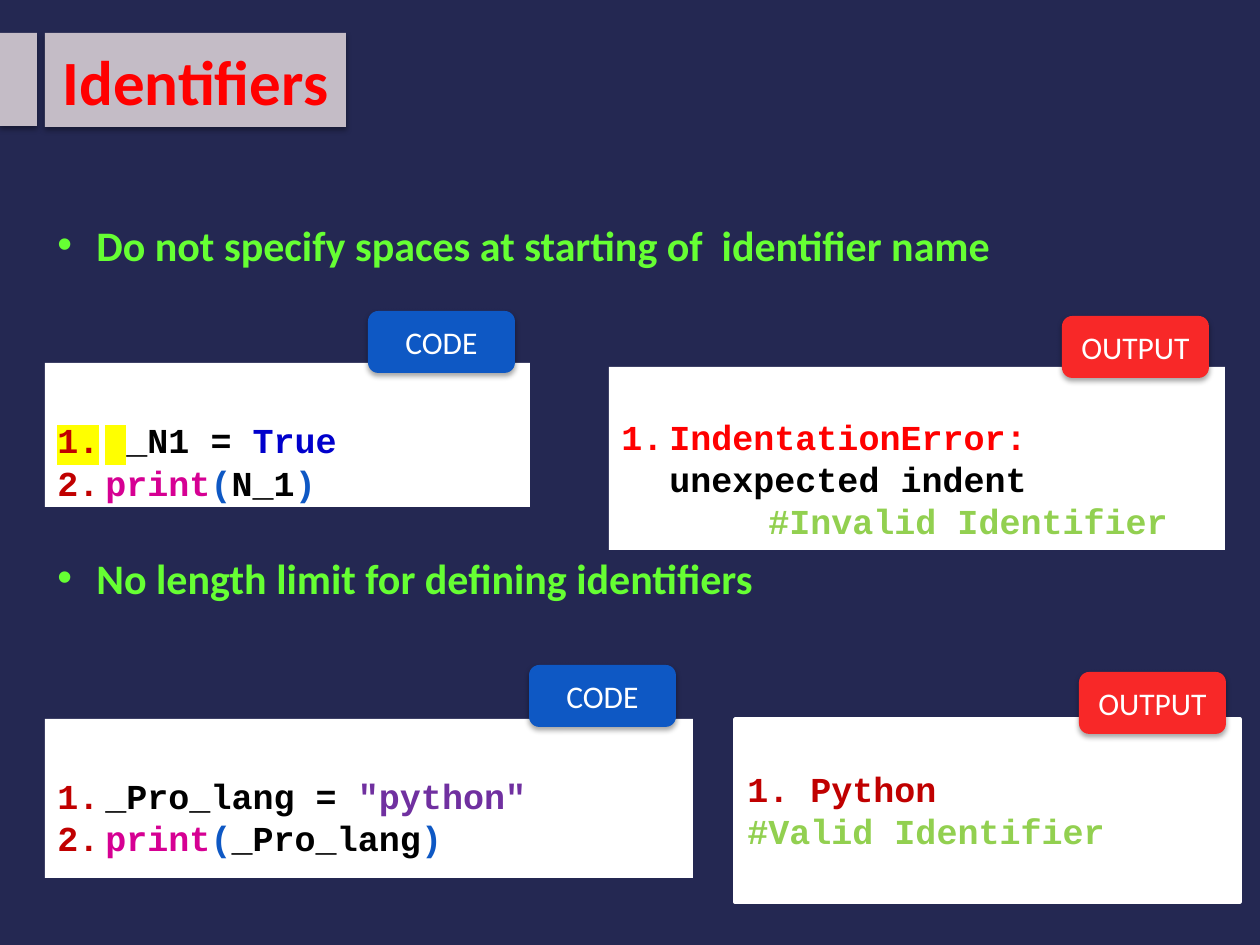
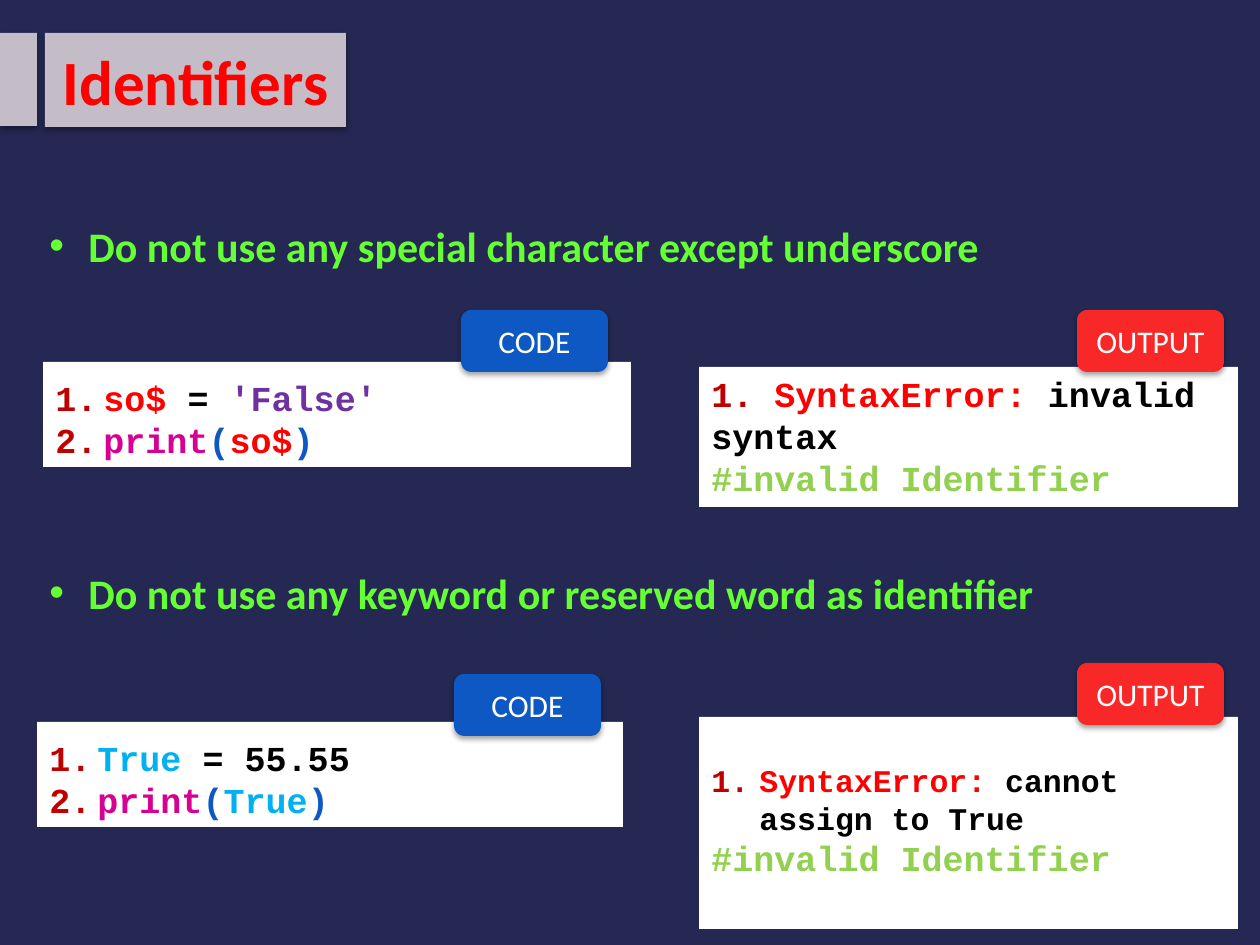
import pptx
import pptx.util
import pptx.dml.color
import pptx.enum.shapes
import pptx.enum.text
from lxml import etree
from pptx.oxml.ns import qn

COLORS = dict(
    navy="242852", band="C4BCC6", red="FF0000", white="FFFFFF", black="000000",
    code="0E58C4", output="F82828", number="C00000", call="D60093", string="7030A0",
    keyword="0000CC", sky="00B0F0", comment="92D050", rule="66FF33", yellow="FFFF00",
)
MONO, SANS = "Courier New", "Calibri"
PX = 914400 // 126
HANG, WIDE_HANG = 48, 63
TAB_W, TAB_H = 147, 62
INSET = 6
BLANK_LINE = 42


def call(name, color):
    return [("print", "call"), ("(", "code"), (name, color), (")", "code")]


SLIDES = [
    dict(
        title="Identifiers",
        rules=[
            ((45, 213, 979, 63), "Do not specify spaces at starting of  identifier name"),
            ((45, 546, 728, 63), "No length limit for defining identifiers"),
        ],
        panels=[
            dict(kind="code", box=(45, 363, 485, 144), tab=(368, 311), lead=BLANK_LINE, lines=[
                ("number", HANG, 20, [(" ", "black", "yellow"), ("_N1 = ", "black"),
                                      ("True", "keyword")]),
                ("number", HANG, 20, call("N_1", "black")),
            ]),
            dict(kind="output", box=(609, 367, 616, 183), tab=(1062, 316), lead=BLANK_LINE, lines=[
                ("red", HANG, 20, [("IndentationError: ", "red"), ("unexpected indent", "black")]),
                (None, 147, 20, [("#Invalid Identifier", "comment")]),
            ]),
            dict(kind="code", box=(45, 719, 648, 159), tab=(529, 665), lead=BLANK_LINE, lines=[
                ("number", HANG, 20, [("_Pro_lang = ", "black"), ('"python"', "string")]),
                ("number", HANG, 20, call("_Pro_lang", "black")),
            ]),
            dict(kind="output", box=(735, 719, 505, 183), tab=(1079, 672), lead=BLANK_LINE,
                 outline=2, lines=[
                ("number", WIDE_HANG, 20, [("Python", "number")]),
                (None, 0, 20, [("#Valid Identifier", "comment")]),
            ]),
        ],
    ),
    dict(
        title="Identifiers",
        rules=[
            ((37, 214, 964, 63), "Do not use any special character except underscore"),
            ((37, 561, 1178, 63), "Do not use any keyword or reserved word as identifier"),
        ],
        panels=[
            dict(kind="code", box=(43, 362, 588, 105), tab=(461, 310), lines=[
                ("number", HANG, 20, [("so$ ", "red"), ("= ", "black"), ("'False'", "string")]),
                ("number", HANG, 20, call("so$", "red")),
            ]),
            dict(kind="output", box=(699, 367, 539, 140), tab=(1077, 310), lines=[
                ("number", WIDE_HANG, 20, [("SyntaxError: ", "red"), ("invalid", "black")]),
                (None, 0, 20, [("syntax", "black")]),
                (None, 0, 20, [("#invalid Identifier", "comment")]),
            ]),
            dict(kind="code", box=(37, 722, 586, 105), tab=(454, 674), lines=[
                ("number", HANG, 20, [("True ", "sky"), ("= 55.55", "black")]),
                ("number", HANG, 20, call("True", "sky")),
            ]),
            dict(kind="output", box=(699, 717, 539, 212), tab=(1077, 663), lead=38, lines=[
                ("number", HANG, 18, [("SyntaxError: ", "red"),
                                      ("cannot assign to True", "black")]),
                (None, 0, 20, [("#invalid Identifier", "comment")]),
            ]),
        ],
    ),
]


def rgb(name):
    return pptx.dml.color.RGBColor.from_string(COLORS[name])


def emu(box):
    return [v * PX for v in box]


def add_text(p, text, size=20, font=MONO, color="black", bold=True, highlight=None):
    r = p.add_run()
    r.text = text
    r.font.size = pptx.util.Pt(size)
    r.font.bold = bold
    r.font.color.rgb = rgb(color)
    if highlight:
        mark = etree.Element(qn("a:highlight"))
        etree.SubElement(mark, qn("a:srgbClr"), val=COLORS[highlight])
        r.font._element.append(mark)
    r.font.name = font


def indent(p, left, color=None, char=None):
    pPr = p._p.get_or_add_pPr()
    pPr.set("marL", str(left * PX))
    pPr.set("indent", str(-left * PX if color else 0))
    if not color:
        etree.SubElement(pPr, qn("a:buNone"))
        return
    etree.SubElement(etree.SubElement(pPr, qn("a:buClr")), qn("a:srgbClr"), val=COLORS[color])
    if char:
        etree.SubElement(pPr, qn("a:buFont"), typeface="Arial")
        etree.SubElement(pPr, qn("a:buChar"), char=char)
    else:
        etree.SubElement(pPr, qn("a:buAutoNum"), type="arabicPeriod")


def style(sp, fill, shadow=False, outline=0):
    sp.fill.solid()
    sp.fill.fore_color.rgb = rgb(fill)
    if outline:
        sp.line.color.rgb = rgb(fill)
        sp.line.width = pptx.util.Pt(outline)
    else:
        sp.line.fill.background()
    sp.shadow.inherit = False
    if shadow:
        effects = sp._element.spPr.find(qn("a:effectLst"))
        outer = etree.SubElement(effects, qn("a:outerShdw"), blurRad="39370", dist="22860",
                                 dir="5400000", rotWithShape="0")
        clr = etree.SubElement(outer, qn("a:srgbClr"), val=COLORS["black"])
        etree.SubElement(clr, qn("a:alpha"), val="35000")


def add_box(shapes, box, fill, rounded=False, **look):
    kind = pptx.enum.shapes.MSO_SHAPE
    sp = shapes.add_shape(kind.ROUNDED_RECTANGLE if rounded else kind.RECTANGLE, *emu(box))
    style(sp, fill, **look)
    return sp


def center(tf):
    tf.word_wrap = True
    tf.vertical_anchor = pptx.enum.text.MSO_ANCHOR.MIDDLE
    p = tf.paragraphs[0]
    p.alignment = pptx.enum.text.PP_ALIGN.CENTER
    return p


def add_title(s, title):
    add_box(s.shapes, (0, 33, 37, 93), "band", shadow=True)
    sp = s.shapes.title
    sp.left, sp.top, sp.width, sp.height = emu((45, 33, 301, 94))
    style(sp, "band", shadow=True)
    add_text(center(sp.text_frame), title, size=36, font=SANS, color="red")


def add_rule(s, box, text):
    tf = s.shapes.add_textbox(*emu(box)).text_frame
    tf.word_wrap = True
    p = tf.paragraphs[0]
    indent(p, 39, "rule", "\u2022")
    add_text(p, text, size=24, font=SANS, color="rule")


def add_panel(s, kind, box, tab, lines, lead=0, outline=0):
    shapes = s.shapes.add_group_shape().shapes
    sp = add_box(shapes, box, "white", outline=outline)
    label = add_box(shapes, (*tab, TAB_W, TAB_H), kind, rounded=True, shadow=True)
    add_text(center(label.text_frame), kind.upper(), size=18, font=SANS, color="white", bold=False)
    if kind == "code":
        x, y, w, h = box
        sp = shapes.add_textbox(*emu((x, y + 8, w, h - 8)))
    tf = sp.text_frame
    tf.word_wrap = True
    tf.vertical_anchor = pptx.enum.text.MSO_ANCHOR.TOP
    tf.margin_top = (INSET + lead) * PX
    for i, (number, left, size, runs) in enumerate(lines):
        p = tf.add_paragraph() if i else tf.paragraphs[0]
        p.alignment = pptx.enum.text.PP_ALIGN.LEFT
        indent(p, left, number)
        for text, color, *mark in runs:
            add_text(p, text, size=size, color=color, highlight=mark[0] if mark else None)


prs = pptx.Presentation()
prs.slide_width, prs.slide_height = pptx.util.Inches(10), pptx.util.Inches(7.5)
background = prs.slide_master.background.fill
background.solid()
background.fore_color.rgb = rgb("navy")

for content in SLIDES:
    s = prs.slides.add_slide(prs.slide_layouts[5])
    add_title(s, content["title"])
    for panel in content["panels"]:
        add_panel(s, **panel)
    for box, text in content["rules"]:
        add_rule(s, box, text)

prs.save("out.pptx")
